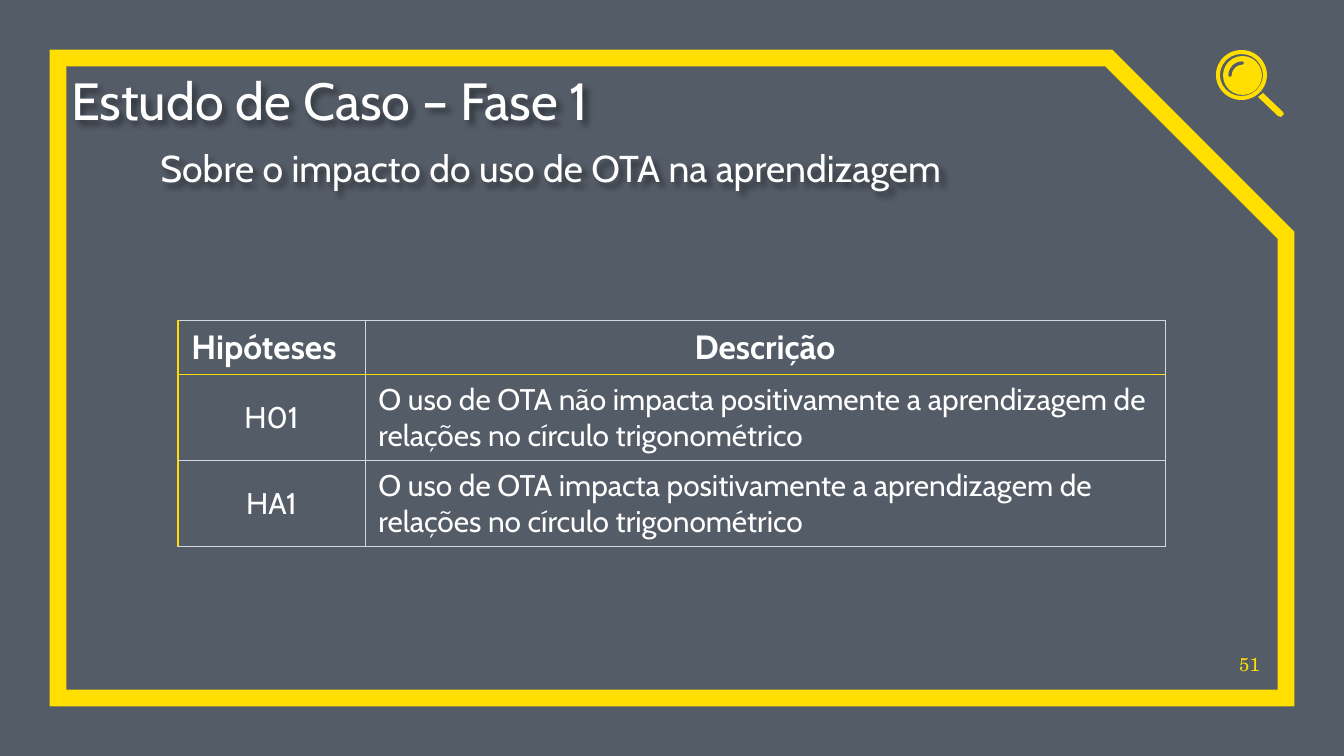
from lxml import etree
from pptx import Presentation, util as u
from pptx.dml.color import RGBColor
from pptx.enum import shapes, text
from pptx.oxml import parse_xml
from pptx.oxml.ns import nsdecls, qn

PX = 914400 / 134.4
YELLOW, WHITE, SLATE, RULE = "FFDE00", "FFFFFF", "545C67", "D5D7DA"
LEFT, CENTER, RIGHT = text.PP_ALIGN.LEFT, text.PP_ALIGN.CENTER, text.PP_ALIGN.RIGHT


def px(*lengths):
    """Turn px lengths into EMU."""
    return [u.Emu(round(length * PX)) for length in lengths]


def write(frame, words, size, align=LEFT, color=WHITE, font="Cabin", bold=False):
    """Put one formatted run in a text frame."""
    paragraph = frame.paragraphs[0]
    paragraph.alignment = align
    run = paragraph.add_run()
    run.text = words
    run.font.size = u.Pt(size)
    run.font.name = font
    run.font.bold = bold
    run.font.color.rgb = RGBColor.from_string(color)


presentation = Presentation()
presentation.slide_width, presentation.slide_height = px(1344, 756)
slide = presentation.slides.add_slide(presentation.slide_layouts[5])
slide.background.fill.solid()
slide.background.fill.fore_color.rgb = RGBColor.from_string(SLATE)

# Frame with a cut corner
frame = slide.shapes.add_shape(shapes.MSO_SHAPE.SNIP_1_RECTANGLE, *px(58, 58, 1228, 640))
frame.adjustments[0] = 0.277
frame.shadow.inherit = False
frame.fill.background()
frame.line.color.rgb = RGBColor.from_string(YELLOW)
frame.line.width = u.Pt(9)
etree.SubElement(frame.line._ln, qn("a:miter"), lim="800000")

# Title, subtitle and page number
title = slide.shapes.title
title.left, title.top, title.width, title.height = px(71, 60, 988, 71)
subtitle = slide.shapes.add_textbox(*px(94, 117, 914, 73))
number = slide.shapes.add_textbox(*px(1224, 637, 36, 38))
for shape in (title, subtitle, number):
    box = shape.text_frame
    box.margin_left = box.margin_right = box.margin_top = box.margin_bottom = 0
    box.vertical_anchor = text.MSO_ANCHOR.BOTTOM
    box.auto_size = text.MSO_AUTO_SIZE.NONE
    box.word_wrap = True
write(title.text_frame, "Estudo de Caso – Fase 1", 28)
write(subtitle.text_frame, "Sobre o impacto do uso de OTA na aprendizagem", 20, CENTER)
write(number.text_frame, "51", 10, RIGHT, YELLOW, "TeX Gyre Schola")
for shape in (title, subtitle):
    shape._element.spPr.append(parse_xml(
        f'<a:effectLst {nsdecls("a")}><a:outerShdw blurRad="38100" dist="38100" dir="2700000">'
        '<a:srgbClr val="000000"><a:alpha val="43000"/></a:srgbClr></a:outerShdw></a:effectLst>'))

# Magnifying glass
ring = slide.shapes.add_shape(shapes.MSO_SHAPE.DONUT, *px(1216, 50, 51, 50))
ring.adjustments[0] = 0.08
lens = slide.shapes.add_shape(shapes.MSO_SHAPE.OVAL, *px(1223, 56, 39, 39))
builder = slide.shapes.build_freeform(1263, 93, scale=PX)
builder.add_line_segments([(1258, 97), (1278, 116), (1281, 117), (1284, 114), (1283, 112)])
handle = builder.convert_to_shape()
for shape in (ring, lens, handle):
    shape.shadow.inherit = False
    shape.fill.solid()
    shape.fill.fore_color.rgb = RGBColor.from_string(YELLOW)
    shape.line.fill.background()
glint = slide.shapes.add_shape(shapes.MSO_SHAPE.ARC, *px(1230, 63, 25, 25))
glint.adjustments[0], glint.adjustments[1] = 108, 162  # 180 to 270 degrees
glint.shadow.inherit = False
glint.fill.background()
glint.line.color.rgb = RGBColor.from_string(SLATE)
glint.line.width = u.Pt(1.75)
glint.line._ln.set("cap", "rnd")

# Hypotheses table
rows = [
    ("Hipóteses", "Descrição"),
    ("H01", "O uso de OTA não impacta positivamente a aprendizagem de relações no círculo trigonométrico"),
    ("HA1", "O uso de OTA impacta positivamente a aprendizagem de relações no círculo trigonométrico"),
]
table = slide.shapes.add_table(3, 2, *px(178, 320, 987, 226)).table
table.first_row = table.horz_banding = False
for column, width in zip(table.columns, px(187, 800)):
    column.width = width
for row, height in zip(table.rows, px(54, 86, 86)):
    row.height = height
for i, row in enumerate(rows):
    for j, words in enumerate(row):
        cell = table.cell(i, j)
        cell.vertical_anchor = text.MSO_ANCHOR.MIDDLE
        header = i == 0
        write(cell.text_frame, words, 18 if header else 16,
              LEFT if header == (j == 0) else CENTER, bold=header)
        strong = {"lnL": j == 0, "lnR": False, "lnT": i == 1, "lnB": header}
        for side, is_strong in strong.items():
            color, width = (YELLOW, 12700) if is_strong else (RULE, 6350)
            cell._tc.get_or_add_tcPr().append(parse_xml(
                f'<a:{side} {nsdecls("a")} w="{width}"><a:solidFill>'
                f'<a:srgbClr val="{color}"/></a:solidFill></a:{side}>'))
        cell.fill.background()

# Left-aligned header and descriptions, centred codes
for i, j, align in ((0, 0, LEFT), (0, 1, CENTER), (1, 0, CENTER), (1, 1, LEFT), (2, 0, CENTER), (2, 1, LEFT)):
    table.cell(i, j).text_frame.paragraphs[0].alignment = align

presentation.save("out.pptx")
